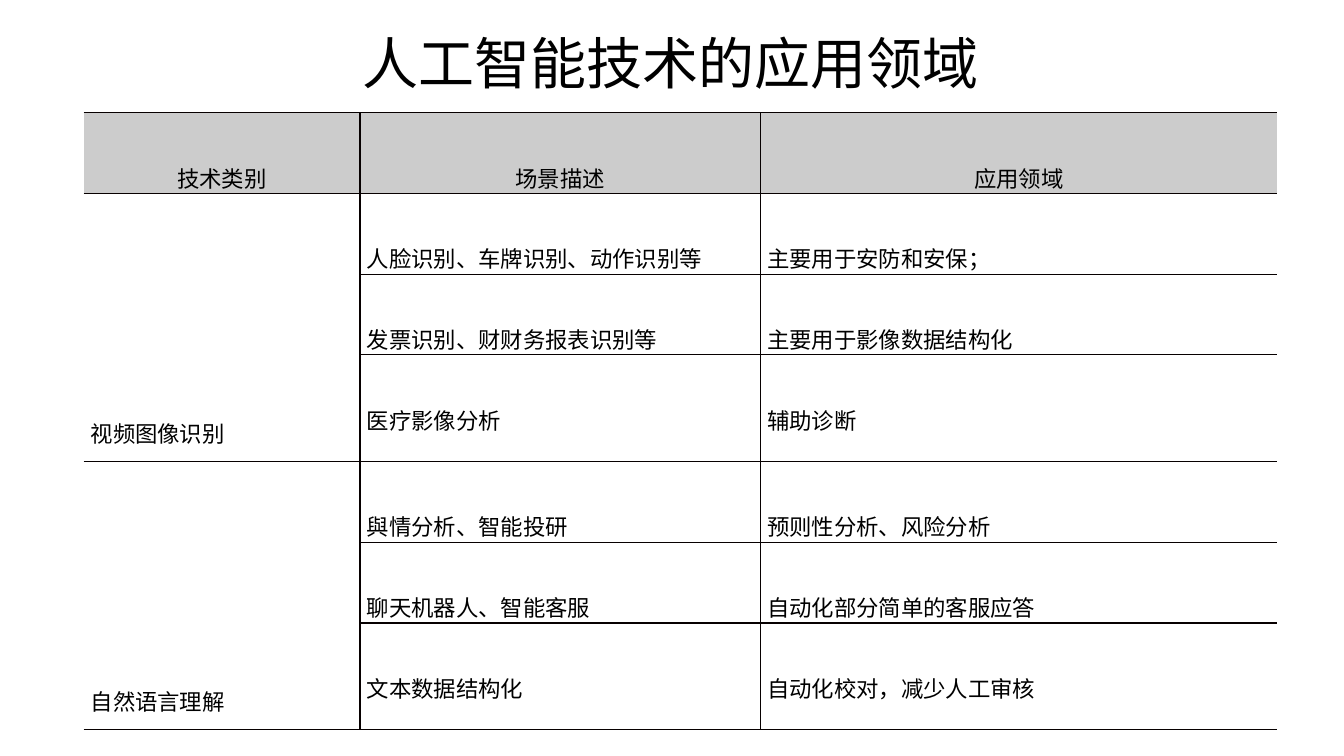
import pptx
import pptx.dml.color
import pptx.enum.text
import pptx.oxml
import pptx.oxml.ns
import pptx.util

FONT = "Noto Sans CJK SC"
Inches = pptx.util.Inches
Pt = pptx.util.Pt
ALIGN = pptx.enum.text.PP_ALIGN
ANCHOR = pptx.enum.text.MSO_ANCHOR


def add_run(paragraph, text, size):
    run = paragraph.add_run()
    run.text = text
    run.font.size = Pt(size)
    run.font.name = FONT
    run.font.color.rgb = pptx.dml.color.RGBColor.from_string("000000")
    east_asian = pptx.oxml.parse_xml(
        f'<a:ea {pptx.oxml.ns.nsdecls("a")} typeface="{FONT}"/>')
    run.font._element.find(pptx.oxml.ns.qn("a:latin")).addnext(east_asian)


def add_borders(cell, sides):
    """Draw 1 pt lines on the given sides, in the order L, R, T, B."""
    properties = cell._tc.get_or_add_tcPr()
    for position, side in enumerate(sides):
        properties.insert(position, pptx.oxml.parse_xml(
            f'<a:ln{side} {pptx.oxml.ns.nsdecls("a")} w="12700">'
            '<a:solidFill><a:srgbClr val="070000"/></a:solidFill>'
            f'</a:ln{side}>'))


presentation = pptx.Presentation()
presentation.slide_width = Inches(13.33)
presentation.slide_height = Inches(7.5)
slide = presentation.slides.add_slide(presentation.slide_layouts[5])

title = slide.shapes.title
title.left, title.top = Inches(3.6), Inches(0.27)
title.width, title.height = Inches(6.14), Inches(0.69)
heading = title.text_frame
heading.margin_left = heading.margin_right = 0
heading.margin_top = heading.margin_bottom = 0
heading.vertical_anchor = ANCHOR.MIDDLE
heading.auto_size = pptx.enum.text.MSO_AUTO_SIZE.NONE
heading.paragraphs[0].alignment = ALIGN.LEFT
heading.paragraphs[0].line_spacing = 1.0
add_run(heading.paragraphs[0], "人工智能技术的应用领域", 40)

applications = [
    ("技术类别", "场景描述", "应用领域"),
    ("视频图像识别", "人脸识别、车牌识别、动作识别等", "主要用于安防和安保；"),
    ("", "发票识别、财财务报表识别等", "主要用于影像数据结构化"),
    ("", "医疗影像分析", "辅助诊断"),
    ("自然语言理解", "與情分析、智能投研", "预则性分析、风险分析"),
    ("", "聊天机器人、智能客服", "自动化部分简单的客服应答"),
    ("", "文本数据结构化", "自动化校对，减少人工审核"),
]
GROUP_SIZE = 3
column_widths = [2.74, 3.97, 5.13]
ROW_HEIGHT, EXTRA_HEIGHT = 0.8, 0.26

frame = slide.shapes.add_table(
    len(applications), len(column_widths), Inches(0.83), Inches(1.12),
    Inches(sum(column_widths)),
    Inches(ROW_HEIGHT * len(applications) + EXTRA_HEIGHT * 2))
table = frame.table
table.first_row = table.horz_banding = False
# The "No Style, No Grid" table style
table._tbl.tblPr.find(pptx.oxml.ns.qn("a:tableStyleId")).text = (
    "{2D5ABB26-0587-4C30-8999-92F81FD0307C}")
for column, width in zip(table.columns, column_widths):
    column.width = Inches(width)

for row, texts in enumerate(applications):
    is_header = row == 0
    ends_group = not is_header and row % GROUP_SIZE == 0
    gap = EXTRA_HEIGHT if ends_group else 0
    table.rows[row].height = Inches(ROW_HEIGHT + gap)
    for column, text in enumerate(texts):
        cell = table.cell(row, column)
        is_category = column == 0 and not is_header
        cell.margin_top = cell.margin_right = 0
        cell.margin_left = 0 if is_header else Inches(0.07)
        cell.margin_bottom = Inches(EXTRA_HEIGHT / 2 if is_category else gap)
        cell.vertical_anchor = ANCHOR.BOTTOM
        if is_header:
            cell.fill.solid()
            cell.fill.fore_color.rgb = pptx.dml.color.RGBColor.from_string("CCCCCC")
        else:
            cell.fill.background()
        add_borders(cell, ("RTB", "LRTB", "LTB")[column])
        if text:
            paragraph = cell.text_frame.paragraphs[0]
            paragraph.alignment = ALIGN.CENTER if is_header else ALIGN.LEFT
            add_run(paragraph, text, 16)

for first in range(1, len(applications), GROUP_SIZE):
    table.cell(first, 0).merge(table.cell(first + GROUP_SIZE - 1, 0))

presentation.save("out.pptx")
